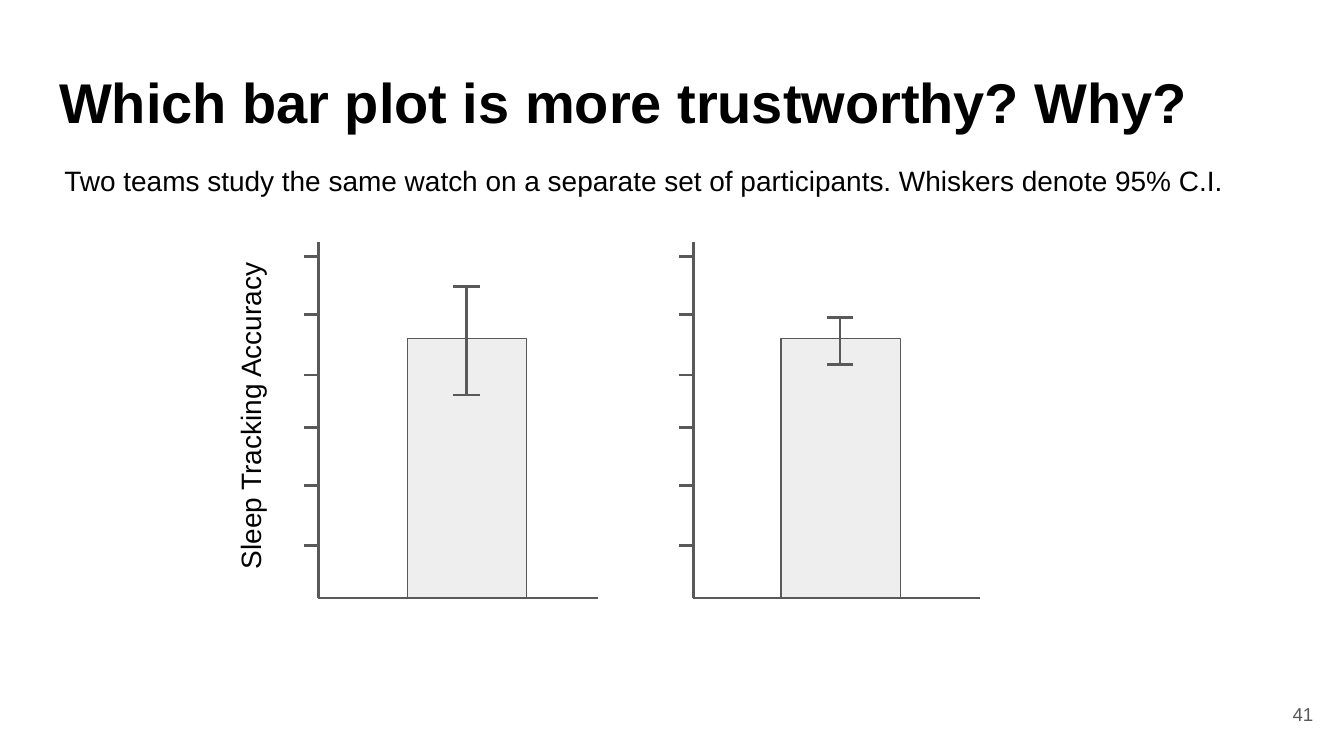
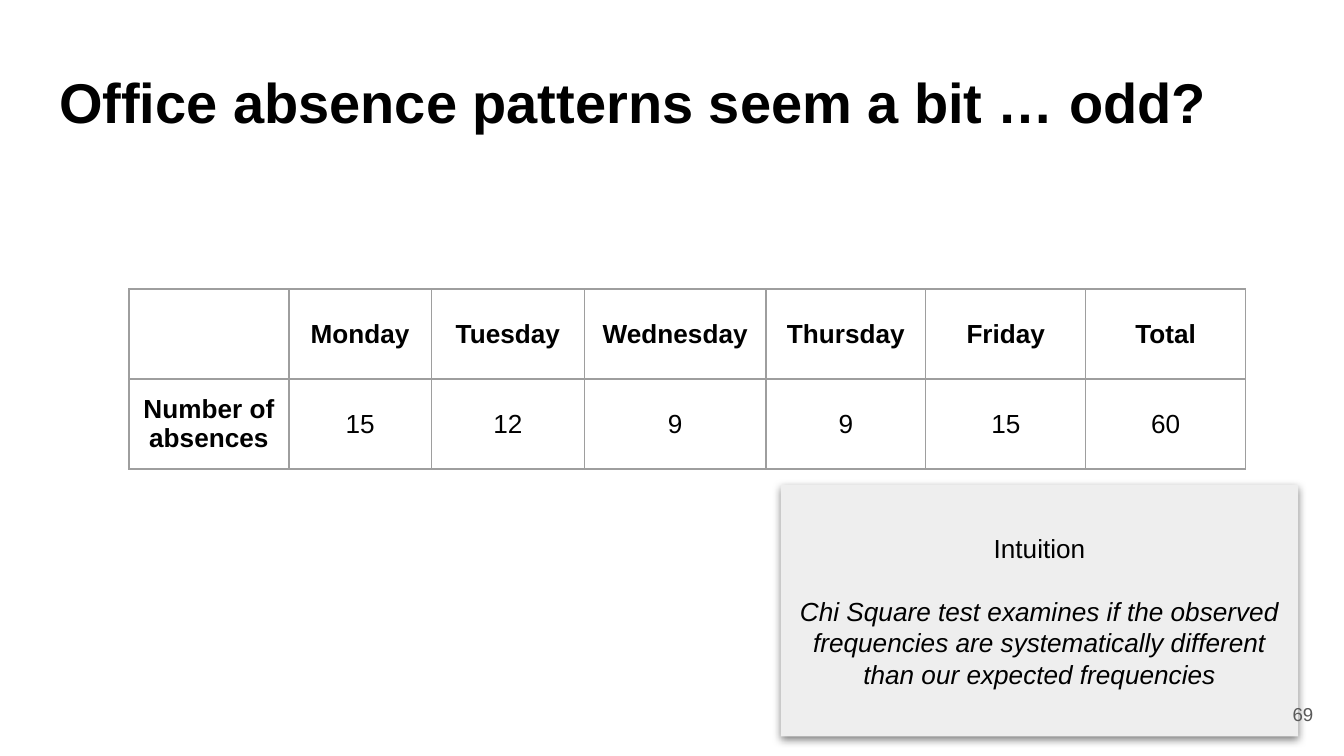
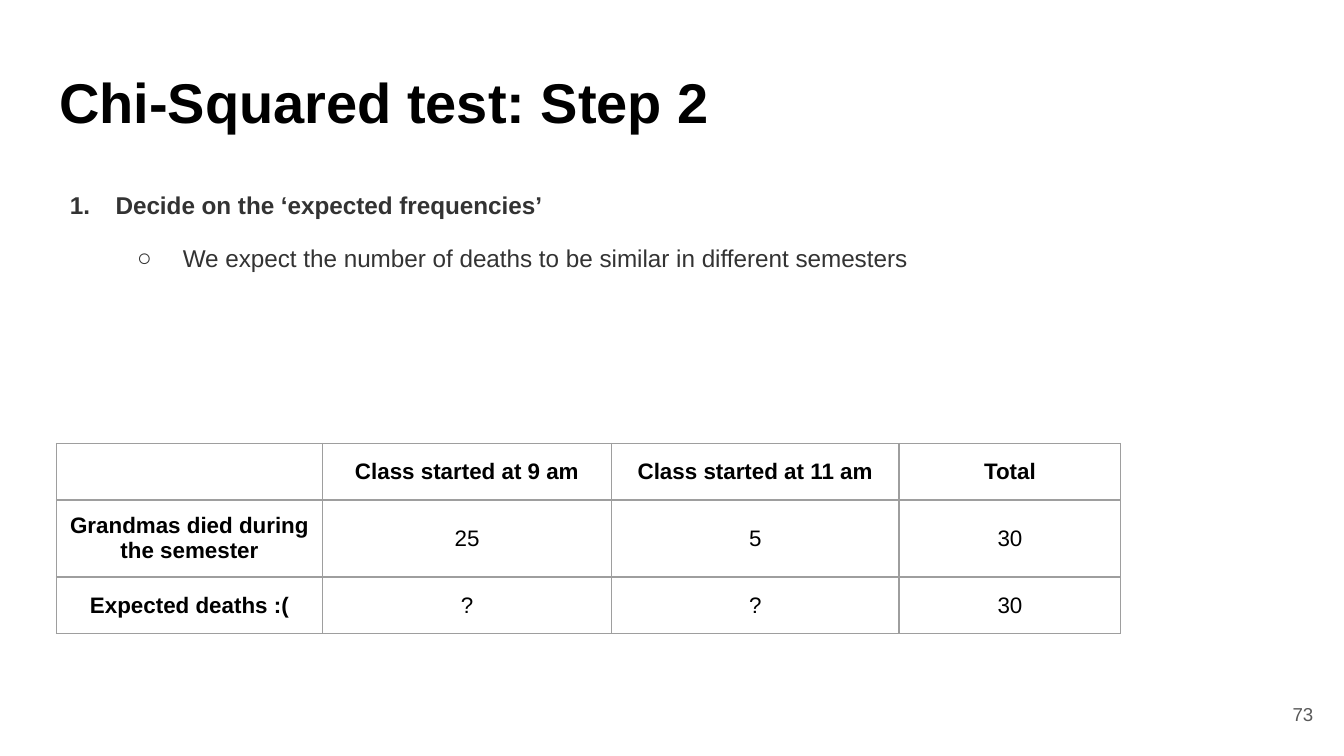
from dataclasses import dataclass
from typing import Optional

from lxml.etree import SubElement
from pptx import Presentation
from pptx.dml.color import RGBColor
from pptx.enum.shapes import MSO_CONNECTOR, MSO_SHAPE
from pptx.enum.text import MSO_ANCHOR, MSO_AUTO_SIZE, PP_ALIGN
from pptx.oxml.ns import qn
from pptx.util import Pt

EMU_PER_PX = 9144
FONT = "Arial"
BLACK = RGBColor(0x00, 0x00, 0x00)
INK = RGBColor(0x33, 0x33, 0x33)
GRAY = RGBColor(0x59, 0x59, 0x59)
PALE = RGBColor(0xEE, 0xEE, 0xEE)
RULE = RGBColor(0x9E, 0x9E, 0x9E)

INSET = 10
AXIS_TOP, BASELINE = 180, 445
TICKS = (191, 234, 279, 318, 361, 406)
TICK_LENGTH = 11
BAR_TOP, BAR_WIDTH = 252, 89
CAP_HALF = 10


@dataclass(frozen=True)
class Box:
    left: int
    top: int
    width: int
    height: int

    def emu(self) -> tuple:
        return tuple(px(n) for n in (self.left, self.top, self.width, self.height))


@dataclass(frozen=True)
class BarPlot:
    axis: int
    right: int
    bar: int
    whisker: int
    upper: int
    lower: int


@dataclass(frozen=True)
class Grid:
    left: int
    top: int
    columns: tuple
    row_height: int
    size: int
    rows: tuple


TITLE = Box(34, 40, 932, 63)
PAGE_NUMBER = Box(927, 510, 60, 43)

PLOTS = (
    BarPlot(237, 445, 303, 347, 213, 294),
    BarPlot(516, 729, 581, 625, 236, 271),
)

ABSENCES = Grid(96, 215, (119, 106, 114, 135, 119, 119, 119), 67, 14, (
    ("", "Monday", "Tuesday", "Wednesday", "Thursday", "Friday", "Total"),
    ("Number of absences", "15", "12", "9", "9", "15", "60"),
))

DEATHS = Grid(42, 330, (198, 215, 214, 165), 42, 12, (
    ("", "Class started at 9 am", "Class started at 11 am", "Total"),
    ("Grandmas died during the semester", "25", "5", "30"),
    ("Expected deaths :(", "?", "?", "30"),
))


def px(length: int) -> int:
    return length * EMU_PER_PX


def write(paragraph, text: str, *, size: int, color: RGBColor = BLACK,
          bold: bool = False, italic: bool = False,
          align: PP_ALIGN = PP_ALIGN.LEFT, spacing: float = 1.0,
          before: int = 0, after: int = 0) -> None:
    paragraph.alignment = align
    paragraph.line_spacing = spacing
    paragraph.space_before = Pt(before)
    paragraph.space_after = Pt(after)
    run = paragraph.add_run()
    run.text = text
    run.font.name = FONT
    run.font.size = Pt(size)
    run.font.bold = bold
    run.font.italic = italic
    run.font.color.rgb = color


def frame_of(shape, *, inset: int = INSET, anchor: MSO_ANCHOR = MSO_ANCHOR.TOP):
    frame = shape.text_frame
    frame.word_wrap = True
    frame.auto_size = MSO_AUTO_SIZE.NONE
    frame.vertical_anchor = anchor
    frame.margin_left = frame.margin_right = px(inset)
    frame.margin_top = frame.margin_bottom = px(inset)
    return frame


def place(shape, box: Box) -> None:
    shape.left, shape.top, shape.width, shape.height = box.emu()


def add_label(slide, text: str, box: Box, *, rotation: int = 0,
              anchor: MSO_ANCHOR = MSO_ANCHOR.TOP, **style) -> None:
    label = slide.shapes.add_textbox(*box.emu())
    label.rotation = rotation
    write(frame_of(label, anchor=anchor).paragraphs[0], text, **style)


def add_page(deck, layout: int, title: str):
    slide = deck.slides.add_slide(deck.slide_layouts[layout])
    place(slide.shapes.title, TITLE)
    write(frame_of(slide.shapes.title).paragraphs[0], title, size=30, bold=True)
    return slide


def add_page_number(slide, number: int) -> None:
    add_label(slide, str(number), PAGE_NUMBER, anchor=MSO_ANCHOR.MIDDLE,
              size=10, color=GRAY, align=PP_ALIGN.RIGHT)


def add_line(shapes, x1: int, y1: int, x2: int, y2: int) -> None:
    line = shapes.add_connector(MSO_CONNECTOR.STRAIGHT, px(x1), px(y1), px(x2), px(y2))
    line.line.color.rgb = GRAY
    line.line.width = Pt(1.5)
    SubElement(line._element.spPr, qn("a:effectLst"))


def add_panel(slide, box: Box, outline: Optional[RGBColor] = None):
    panel = slide.shapes.add_shape(MSO_SHAPE.RECTANGLE, *box.emu())
    panel.shadow.inherit = False
    panel.fill.solid()
    panel.fill.fore_color.rgb = PALE
    if outline is None:
        panel.line.fill.background()
    else:
        panel.line.color.rgb = outline
        panel.line.width = Pt(0.75)
    return panel


def cast_shadow(panel) -> None:
    effects = panel._element.spPr.find(qn("a:effectLst"))
    shadow = SubElement(effects, qn("a:outerShdw"), blurRad=str(Pt(4.5)),
                        dist=str(Pt(1.5)), dir="5400000", algn="bl", rotWithShape="0")
    color = SubElement(shadow, qn("a:srgbClr"), val=str(BLACK))
    SubElement(color, qn("a:alpha"), val="50000")


def add_bar_plot(slide, plot: BarPlot) -> None:
    add_panel(slide, Box(plot.bar, BAR_TOP, BAR_WIDTH, BASELINE - BAR_TOP), GRAY)
    whisker = slide.shapes.add_group_shape().shapes
    add_line(whisker, plot.whisker, plot.upper, plot.whisker, plot.lower)
    for end in (plot.upper, plot.lower):
        add_line(whisker, plot.whisker + CAP_HALF, end, plot.whisker - CAP_HALF, end)
    add_line(slide.shapes, plot.axis, BASELINE, plot.right, BASELINE)
    add_line(slide.shapes, plot.axis, AXIS_TOP, plot.axis, BASELINE)
    for tick in TICKS:
        add_line(slide.shapes, plot.axis, tick, plot.axis - TICK_LENGTH, tick)


def add_borders(cell) -> None:
    properties = cell._tc.get_or_add_tcPr()
    for index, side in enumerate(("lnL", "lnR", "lnT", "lnB")):
        border = properties.makeelement(qn(f"a:{side}"), {"w": str(Pt(0.75))})
        fill = SubElement(border, qn("a:solidFill"))
        SubElement(fill, qn("a:srgbClr"), val=str(RULE))
        properties.insert(index, border)


def add_grid(slide, grid: Grid) -> None:
    box = Box(grid.left, grid.top, sum(grid.columns), grid.row_height * len(grid.rows))
    table = slide.shapes.add_table(len(grid.rows), len(grid.columns), *box.emu()).table
    table.first_row = table.horz_banding = False
    for column, width in zip(table.columns, grid.columns):
        column.width = px(width)
    for r, row in enumerate(grid.rows):
        for c, text in enumerate(row):
            cell = table.cell(r, c)
            cell.fill.background()
            add_borders(cell)
            if text:
                cell.vertical_anchor = MSO_ANCHOR.MIDDLE
                cell.margin_left = cell.margin_right = px(INSET)
                cell.margin_top = cell.margin_bottom = px(INSET)
                write(cell.text_frame.paragraphs[0], text, size=grid.size,
                      bold=r == 0 or c == 0, align=PP_ALIGN.CENTER)


def set_bullet(paragraph, indent: int, tag: str, **marker: str) -> None:
    properties = paragraph._p.get_or_add_pPr()
    properties.set("marL", str(px(indent)))
    properties.set("indent", str(px(-34)))
    color = SubElement(properties, qn("a:buClr"))
    SubElement(color, qn("a:srgbClr"), val=str(INK))
    SubElement(properties, qn("a:buFont"), typeface=FONT)
    SubElement(properties, qn(tag), **marker)


def build_bar_plots(deck) -> None:
    slide = add_page(deck, 5, "Which bar plot is more trustworthy? Why?")
    for plot in PLOTS:
        add_bar_plot(slide, plot)
    add_label(slide, "Two teams study the same watch on a separate set of participants. "
              "Whiskers denote 95% C.I.", Box(38, 107, 932, 45),
              size=15, spacing=1.2, after=10)
    add_label(slide, "Sleep Tracking Accuracy", Box(45, 287, 272, 45), rotation=270,
              size=15, align=PP_ALIGN.CENTER, spacing=1.2, after=10)
    add_page_number(slide, 41)


def build_absences(deck) -> None:
    slide = add_page(deck, 5, "Office absence patterns seem a bit … odd?")
    add_grid(slide, ABSENCES)
    intuition = add_panel(slide, Box(581, 361, 385, 187))
    cast_shadow(intuition)
    frame = frame_of(intuition, anchor=MSO_ANCHOR.MIDDLE)
    write(frame.paragraphs[0], "Intuition", size=14, align=PP_ALIGN.CENTER)
    write(frame.add_paragraph(), "Chi Square test examines if the observed frequencies are "
          "systematically different than our expected frequencies",
          size=14, italic=True, align=PP_ALIGN.CENTER, before=17)
    add_page_number(slide, 69)


def build_expected_frequencies(deck) -> None:
    slide = add_page(deck, 1, "Chi-Squared test: Step 2")
    steps = slide.placeholders[1]
    place(steps, Box(36, 137, 825, 110))
    frame = frame_of(steps, inset=0)
    decision = frame.paragraphs[0]
    set_bullet(decision, 50, "a:buAutoNum", type="arabicPeriod")
    write(decision, "Decide on the ‘expected frequencies’",
          size=13, color=INK, bold=True, spacing=1.2)
    reason = frame.add_paragraph()
    reason.level = 1
    set_bullet(reason, 100, "a:buChar", char="○")
    write(reason, "We expect the number of deaths to be similar in different semesters",
          size=13, color=INK, spacing=1.2, before=10)
    add_grid(slide, DEATHS)
    add_page_number(slide, 73)


def main() -> None:
    deck = Presentation()
    deck.slide_width, deck.slide_height = px(1000), px(1125) // 2
    build_bar_plots(deck)
    build_absences(deck)
    build_expected_frequencies(deck)
    deck.save("out.pptx")


if __name__ == "__main__":
    main()
